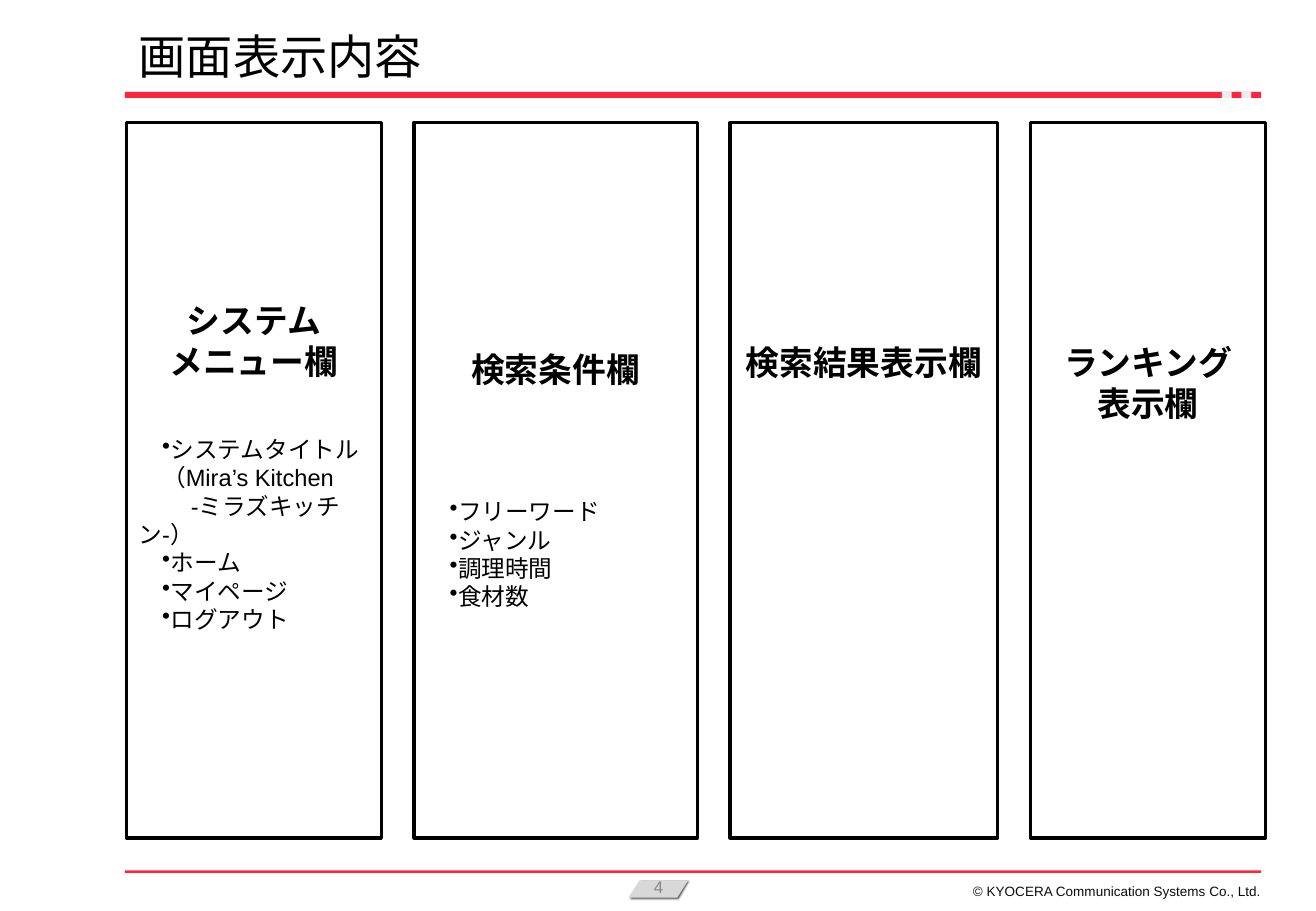
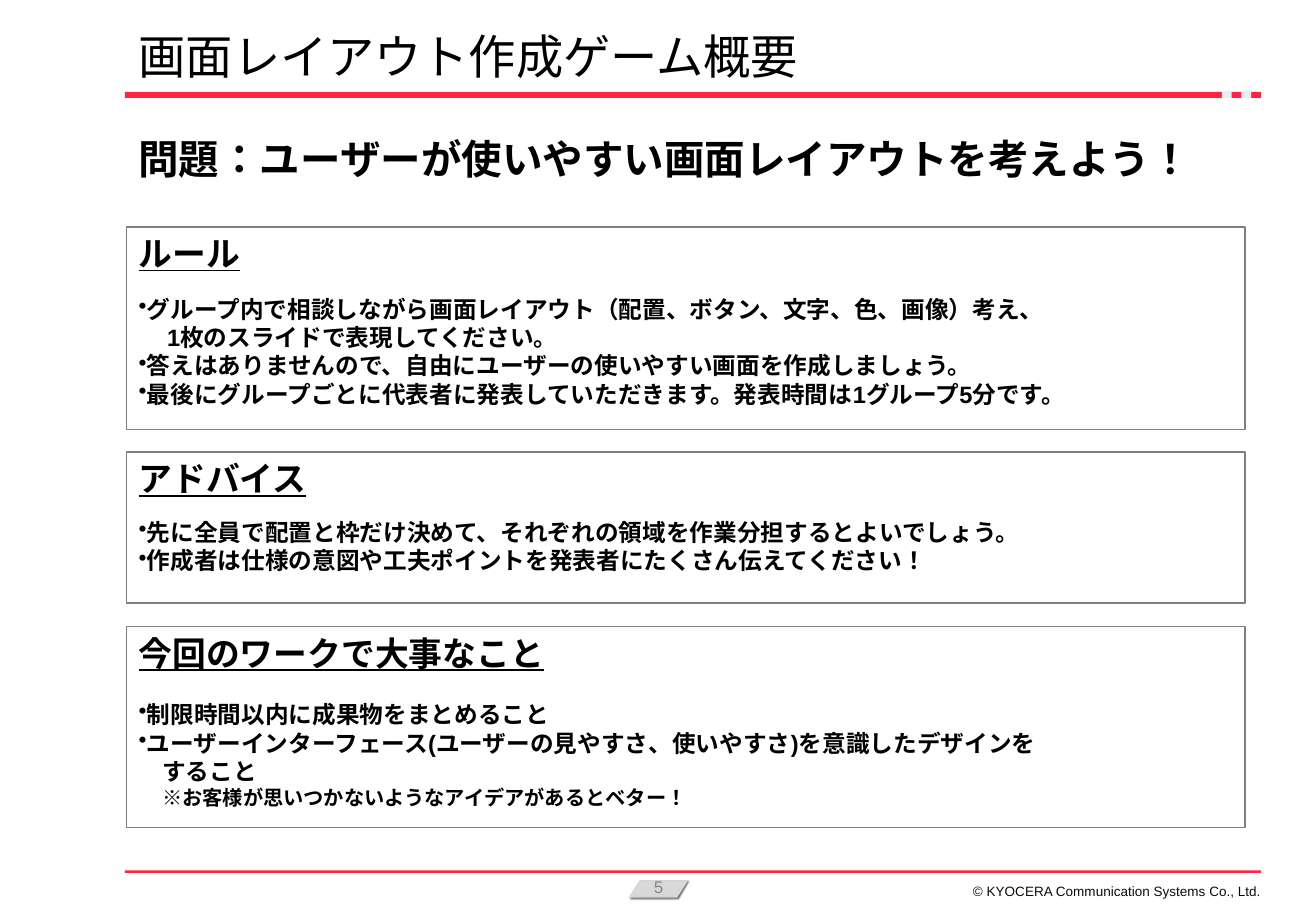
from dataclasses import dataclass

from lxml import etree
from pptx import Presentation
from pptx.dml.color import RGBColor
from pptx.enum import lang, shapes, text
from pptx.oxml import ns
from pptx.util import Pt

# Shared look
RED = RGBColor(0xFF, 0x25, 0x40)
BAND_GAP = RGBColor(0xEB, 0xEE, 0xF1)
TAB_GRAY = RGBColor(0xD8, 0xD8, 0xD8)
NUMBER_GRAY = RGBColor(0x88, 0x88, 0x88)
PANEL_GRAY = RGBColor(0x7F, 0x7F, 0x7F)
FOOTER_INK = RGBColor(0x0C, 0x0C, 0x0C)
BLACK = RGBColor(0, 0, 0)
FONT = "Arial"
LEFT = 75
BAND_LEFT, BAND_WIDTH = 74, 673.5
BULLET_HANG = 5
COPYRIGHT = "© KYOCERA Communication Systems Co., Ltd."


@dataclass
class Line:
    """One paragraph; margin is the left indent, first the extra first-line indent."""
    text: str
    size: float = 14
    bold: bool = False
    underline: bool = False
    color: RGBColor = BLACK
    align: text.PP_ALIGN = text.PP_ALIGN.LEFT
    spacing: float = 1.0
    after: float = 0
    margin: float = 0
    first: float = 0
    bullet: bool = False


def format_line(paragraph, line):
    paragraph.text = line.text
    paragraph.alignment = line.align
    paragraph.line_spacing = line.spacing
    paragraph.space_before = Pt(0)
    paragraph.space_after = Pt(line.after)
    properties = paragraph._p.get_or_add_pPr()
    hang = BULLET_HANG if line.bullet else 0
    properties.set("marL", str(Pt(line.margin + hang)))
    properties.set("indent", str(Pt(line.first - hang)))
    if line.bullet:
        etree.SubElement(properties, ns.qn("a:buChar")).set("char", "•")
    else:
        etree.SubElement(properties, ns.qn("a:buNone"))
    font = paragraph.font
    font.name = FONT
    font.size = Pt(line.size)
    font.bold = line.bold
    font.underline = line.underline
    font.color.rgb = line.color
    font.language_id = lang.MSO_LANGUAGE_ID.JAPANESE
    # East Asian text follows the same font
    defaults = properties.find(ns.qn("a:defRPr"))
    etree.SubElement(defaults, ns.qn("a:ea")).set("typeface", FONT)


def write_lines(shape, lines, anchor=text.MSO_ANCHOR.TOP, insets=(7.2, 3.6, 7.2, 3.6)):
    frame = shape.text_frame
    frame.word_wrap = True
    frame.auto_size = text.MSO_AUTO_SIZE.NONE
    frame.vertical_anchor = anchor
    (frame.margin_left, frame.margin_top,
     frame.margin_right, frame.margin_bottom) = map(Pt, insets)
    for index, line in enumerate(lines):
        paragraph = frame.add_paragraph() if index else frame.paragraphs[0]
        format_line(paragraph, line)


def add_block(slide, box, fill=None, border=None, border_width=1,
              kind=shapes.MSO_SHAPE.RECTANGLE):
    block = slide.shapes.add_shape(kind, *map(Pt, box))
    block.shadow.inherit = False
    if fill is None:
        block.fill.background()
    else:
        block.fill.solid()
        block.fill.fore_color.rgb = fill
    if border is None:
        block.line.fill.background()
    else:
        block.line.color.rgb = border
        block.line.width = Pt(border_width)
    return block


def add_label(slide, box, line, **options):
    write_lines(slide.shapes.add_textbox(*map(Pt, box)), [line], **options)


def add_drop_shadow(shape):
    effects = shape._element.spPr.find(ns.qn("a:effectLst"))
    shadow = etree.SubElement(effects, ns.qn("a:outerShdw"), blurRad=str(Pt(1)),
                              dist=str(Pt(1)), dir="2400000", algn="tl", rotWithShape="0")
    color = etree.SubElement(shadow, ns.qn("a:srgbClr"), val="000000")
    etree.SubElement(color, ns.qn("a:alpha"), val="60000")


def add_page(prs, title_text, number):
    """Slide with the title, top band and footer that every page shares."""
    slide = prs.slides.add_slide(prs.slide_layouts[5])
    # Title
    title = slide.shapes.title
    title.left, title.top, title.width, title.height = map(Pt, (LEFT, 10, 566.5, 50))
    write_lines(title, [Line(title_text, 28, spacing=0.9)], anchor=text.MSO_ANCHOR.MIDDLE)
    # Top band with two notches
    add_block(slide, (BAND_LEFT, 54.5, BAND_WIDTH, 3.6), RED)
    for notch_left in (724.2, 735.8):
        add_block(slide, (notch_left, 54.5, 5.8, 3.6), BAND_GAP)
    # Footer
    number_tab = add_block(slide, (372.5, 522, 35.3, 10), TAB_GRAY,
                           kind=shapes.MSO_SHAPE.PARALLELOGRAM)
    number_tab.adjustments[0] = 0.64
    add_drop_shadow(number_tab)
    add_block(slide, (BAND_LEFT, 516, BAND_WIDTH, 1.5), RED)
    add_label(slide, (538.5, 522, 209, 11),
              Line(COPYRIGHT, 8, color=FOOTER_INK, align=text.PP_ALIGN.RIGHT, spacing=1.1),
              anchor=text.MSO_ANCHOR.BOTTOM, insets=(0, 0, 0, 0))
    add_label(slide, (302.5, 511.5, 175.5, 28.5),
              Line(str(number), 10, color=NUMBER_GRAY, align=text.PP_ALIGN.CENTER),
              anchor=text.MSO_ANCHOR.MIDDLE)
    return slide


def add_columns(slide, columns, top=72.7, height=424, gap=19.4):
    """Columns of (width, text offset, heading lines, space below heading, items)."""
    left = LEFT
    for width, offset, headings, space, items in columns:
        column = add_block(slide, (left, top, width, height), border=BLACK, border_width=2)
        lines = [Line(heading, 20, bold=True, align=text.PP_ALIGN.CENTER)
                 for heading in headings]
        lines[-1].after = space
        write_lines(column, lines + items, insets=(7.2, offset, 7.2, 3.6))
        left += width + gap


def add_panel(slide, top, height, heading, space, items):
    panel = add_block(slide, (LEFT, top, 663, height), border=PANEL_GRAY, border_width=0.75)
    write_lines(panel, [Line(heading, 20, bold=True, underline=True, after=space)] + items)


def menu_item(item):
    return Line(item, margin=14, bullet=True)


def point(item):
    return Line(item, bold=True, bullet=True)


def continuation(item, margin=14, size=14):
    return Line(item, size, bold=True, margin=margin)


def main():
    prs = Presentation()
    prs.slide_width, prs.slide_height = Pt(780), Pt(540)

    # Screen contents
    contents = add_page(prs, "画面表示内容", 4)
    system_menu = [
        menu_item("システムタイトル"),
        Line("（Mira’s Kitchen", margin=14),
        Line("-ミラズキッチン-）", first=31),
        *map(menu_item, ("ホーム", "マイページ", "ログアウト")),
    ]
    search_terms = [menu_item(term) for term in
                    ("フリーワード", "ジャンル", "調理時間", "食材数")]
    add_columns(contents, [
        (151, 105, ["システム", "メニュー欄"], 32, system_menu),
        (168, 134, ["検索条件欄"], 64, search_terms),
        (158.5, 130, ["検索結果表示欄"], 0, []),
        (139.5, 130, ["ランキング", "表示欄"], 0, []),
    ])

    # Layout game overview
    overview = add_page(prs, "画面レイアウト作成ゲーム概要", 5)
    add_label(overview, (LEFT, 75.6, 663, 34.5),
              Line("問題：ユーザーが使いやすい画面レイアウトを考えよう！", 24, bold=True))
    add_panel(overview, 134.6, 120.2, "ルール", 12.5, [
        point("グループ内で相談しながら画面レイアウト（配置、ボタン、文字、色、画像）考え、"),
        continuation("1枚のスライドで表現してください。", margin=17),
        point("答えはありませんので、自由にユーザーの使いやすい画面を作成しましょう。"),
        point("最後にグループごとに代表者に発表していただきます。発表時間は1グループ5分です。"),
    ])
    add_panel(overview, 268, 89.5, "アドバイス", 11.5, [
        point("先に全員で配置と枠だけ決めて、それぞれの領域を作業分担するとよいでしょう。"),
        point("作成者は仕様の意図や工夫ポイントを発表者にたくさん伝えてください！"),
    ])
    add_panel(overview, 371.5, 119, "今回のワークで大事なこと", 16, [
        point("制限時間以内に成果物をまとめること"),
        point("ユーザーインターフェース(ユーザーの見やすさ、使いやすさ)を意識したデザインを"),
        continuation("すること"),
        continuation("※お客様が思いつかないようなアイデアがあるとベター！", size=12),
    ])

    prs.save("out.pptx")


if __name__ == "__main__":
    main()
